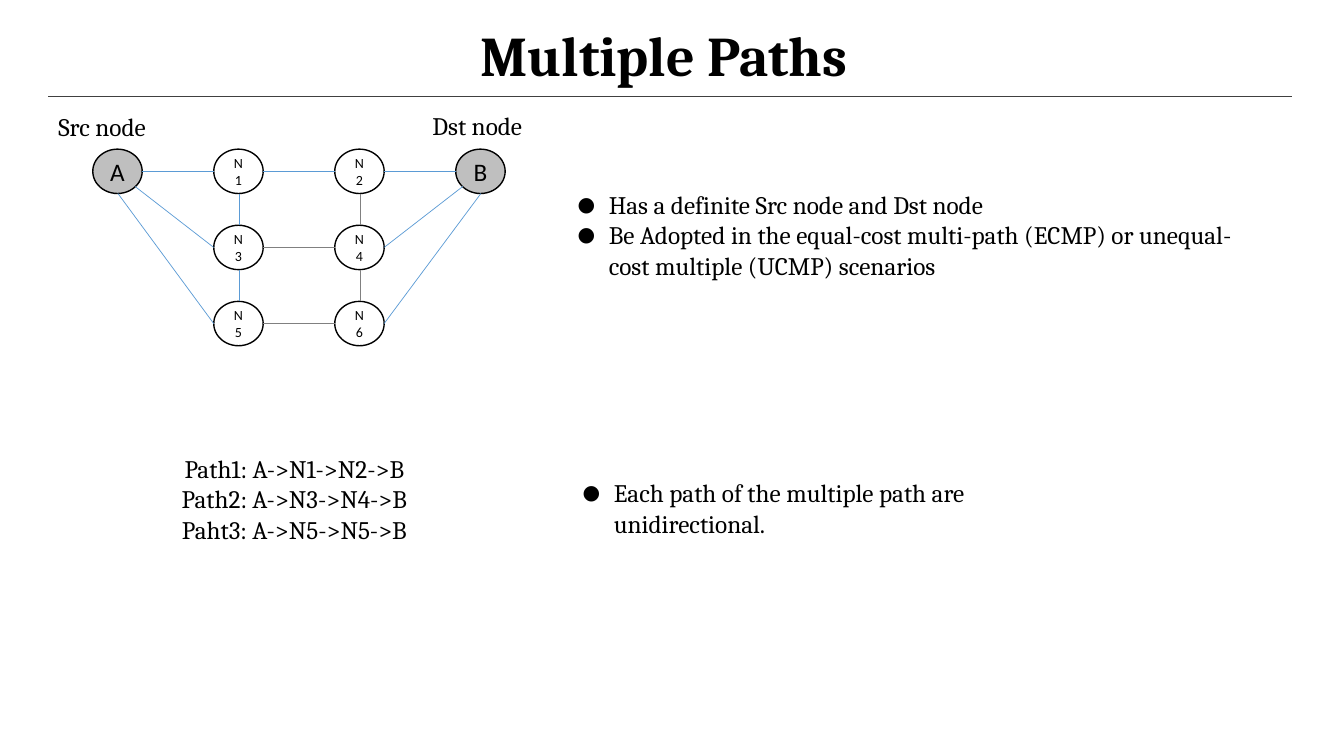
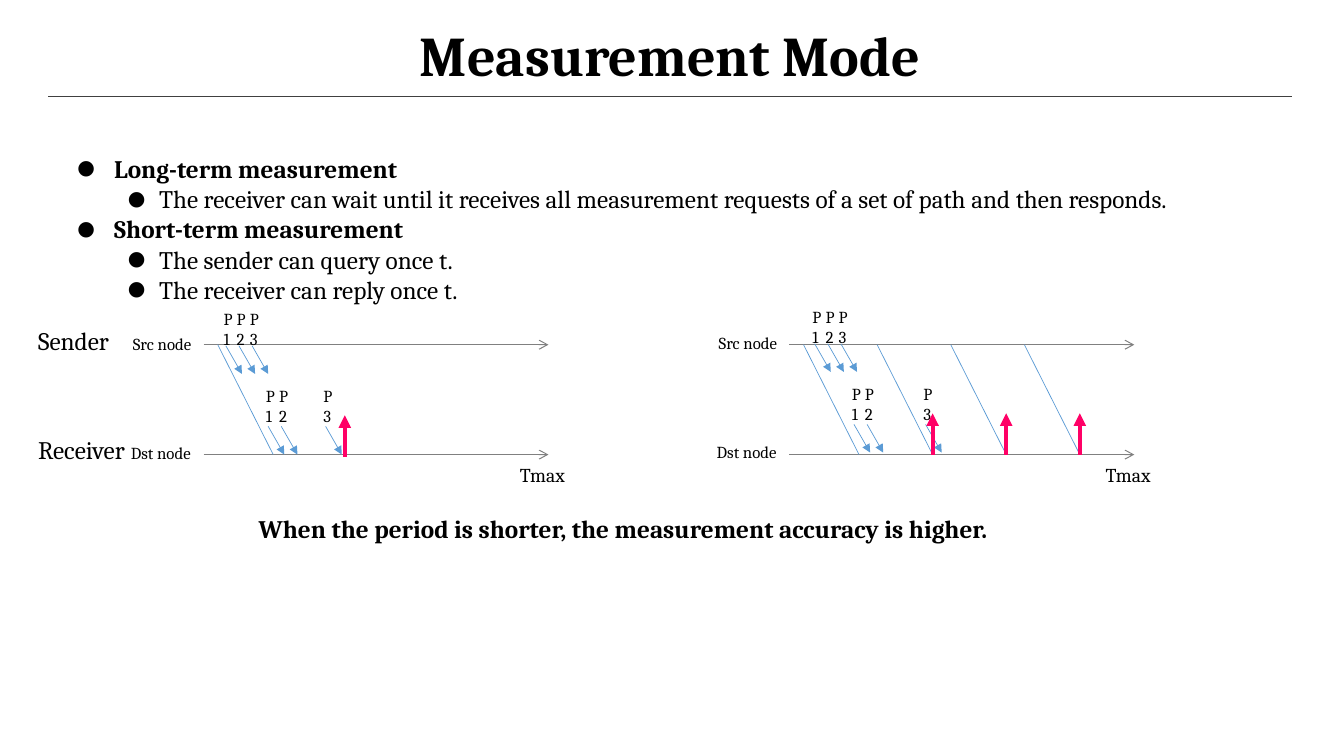
from dataclasses import dataclass
from lxml.etree import SubElement
from pptx import Presentation
from pptx.dml.color import RGBColor
from pptx.enum.shapes import MSO_CONNECTOR, MSO_SHAPE
from pptx.enum.text import MSO_ANCHOR, MSO_AUTO_SIZE, PP_ALIGN
from pptx.oxml.ns import qn
from pptx.util import Inches, Pt


@dataclass(frozen=True)
class Theme:
    ink: RGBColor = RGBColor(0, 0, 0)
    rule: RGBColor = RGBColor(0x40, 0x40, 0x40)
    gray: RGBColor = RGBColor(0x80, 0x80, 0x80)
    fill: RGBColor = RGBColor(0xBF, 0xBF, 0xBF)
    blue: RGBColor = RGBColor(0x5B, 0x9B, 0xD5)
    pink: RGBColor = RGBColor(0xFF, 0x00, 0x66)
    serif: str = "Cambria"
    sans: str = "Calibri"
    head: int = 40
    body: int = 18
    mid: int = 14
    small: int = 12
    tiny: int = 10


theme = Theme()


def write(page, box, lines, size=theme.body, align=PP_ALIGN.LEFT, wrap=True, levels=()):
    frame = page.shapes.add_textbox(*map(Inches, box)).text_frame
    frame.word_wrap = wrap
    frame.auto_size = MSO_AUTO_SIZE.SHAPE_TO_FIT_TEXT
    for i, line in enumerate(lines):
        para = frame.paragraphs[0] if i == 0 else frame.add_paragraph()
        para.alignment = align
        run = para.add_run()
        run.text = line
        run.font.size = Pt(size)
        run.font.name = theme.serif
        run.font.color.rgb = theme.ink
        if levels:
            para.level = levels[i]
            props = para._p.get_or_add_pPr()
            props.set("marL", str(Inches(0.31 + 0.5 * levels[i])))
            props.set("indent", str(Inches(-0.31)))
            SubElement(props, qn("a:buSzPct"), val="80000")
            SubElement(props, qn("a:buFont"), typeface=theme.serif)
            SubElement(props, qn("a:buChar"), char="●")
    return frame


def draw(page, start, end, color, width=0.5, tip=None):
    line = page.shapes.add_connector(MSO_CONNECTOR.STRAIGHT, *map(Inches, (*start, *end)))
    line.line.color.rgb = color
    line.line.width = Pt(width)
    props = line.element.spPr
    if tip:
        SubElement(props.find(qn("a:ln")), qn("a:tailEnd"), type=tip)
    SubElement(props, qn("a:effectLst"))


deck = Presentation()
deck.slide_width = Inches(13.33)
deck.slide_height = Inches(7.5)

pages = []
for words in ("Multiple Paths ", "Measurement Mode"):
    page = deck.slides.add_slide(deck.slide_layouts[5])
    title = page.shapes.title
    title.left, title.top, title.width, title.height = map(Inches, (0.48, 0.2, 12.33, 0.75))
    title.text_frame.vertical_anchor = MSO_ANCHOR.MIDDLE
    para = title.text_frame.paragraphs[0]
    para.alignment = PP_ALIGN.CENTER
    para.line_spacing = 0.9
    run = para.add_run()
    run.text = words
    run.font.size = Pt(theme.head)
    run.font.name = theme.serif
    run.font.bold = True
    run.font.color.rgb = theme.ink
    draw(page, (0.48, 0.95), (12.81, 0.95), theme.rule, 0.25)
    pages.append(page)
paths, modes = pages

grid = {"A": (0, 0), "N1": (1, 0), "N2": (2, 0), "B": (3, 0),
        "N3": (1, 1), "N4": (2, 1), "N5": (1, 2), "N6": (2, 2)}
spots = {name: (0.92 + 1.2 * col, 1.48 + 0.755 * row) for name, (col, row) in grid.items()}
sides = {"top": (0.25, 0), "left": (0, 0.22), "base": (0.25, 0.44),
         "right": (0.49, 0.22), "low left": (0.07, 0.37), "low right": (0.42, 0.37)}
links = (
    ("A", "right", "N1", "left", theme.blue),
    ("N1", "right", "N2", "left", theme.blue),
    ("N2", "right", "B", "left", theme.blue),
    ("N3", "right", "N4", "left", theme.gray),
    ("N5", "right", "N6", "left", theme.gray),
    ("N1", "base", "N3", "top", theme.blue),
    ("N3", "base", "N5", "top", theme.blue),
    ("N2", "base", "N4", "top", theme.gray),
    ("N4", "base", "N6", "top", theme.gray),
    ("A", "low right", "N3", "left", theme.blue),
    ("A", "base", "N5", "left", theme.blue),
    ("B", "low left", "N4", "right", theme.blue),
    ("B", "base", "N6", "right", theme.blue),
)
for name, (x, y) in spots.items():
    node = paths.shapes.add_shape(MSO_SHAPE.OVAL, *map(Inches, (x, y, 0.49, 0.44)))
    node.shadow.inherit = False
    node.line.color.rgb = theme.ink
    node.line.width = Pt(1)
    end = name in "AB"
    if end:
        node.fill.solid()
        node.fill.fore_color.rgb = theme.fill
    else:
        node.fill.background()
    node.text_frame.vertical_anchor = MSO_ANCHOR.MIDDLE
    para = node.text_frame.paragraphs[0]
    para.alignment = PP_ALIGN.CENTER
    run = para.add_run()
    run.text = name
    run.font.name = theme.sans
    run.font.size = Pt(theme.body if end else theme.tiny)
    run.font.color.rgb = theme.ink
for one, out, two, into, color in links:
    start = [a + b for a, b in zip(spots[one], sides[out])]
    stop = [a + b for a, b in zip(spots[two], sides[into])]
    draw(paths, start, stop, color)

write(paths, (0.48, 1.06, 1.1, 0.4), ["Src node"], wrap=False)
write(paths, (4.19, 1.05, 1.12, 0.4), ["Dst node"], wrap=False)
write(paths, (5.63, 1.83, 6.92, 1.01), [
    "Has a definite Src node and Dst node",
    "Be Adopted in the equal-cost multi-path (ECMP) or unequal-cost multiple (UCMP) scenarios",
], levels=(0, 0))
write(paths, (5.68, 4.69, 5.42, 0.4),
      ["Each path of the multiple path are unidirectional."], levels=(0,))
write(paths, (0.78, 4.45, 4.28, 1.01), [
    "Path1: A->N1->N2->B",
    "Path2: A->N3->N4->B",
    "Paht3: A->N5->N5->B",
], align=PP_ALIGN.CENTER)

terms = write(modes, (0.67, 1.47, 11.76, 1.62), [
    " Long-term measurement ",
    "The receiver can wait until it receives all measurement requests of a set of path and then responds.",
    " Short-term measurement ",
    "The sender can query once t. ",
    "The receiver can reply once t. ",
], levels=(0, 1, 0, 1, 1))
for para in terms.paragraphs:
    para.runs[0].font.bold = para.level == 0
claim = write(modes, (0.84, 5.04, 10.68, 0.4),
              ["When the period is shorter, the measurement accuracy is higher."],
              align=PP_ALIGN.CENTER)
claim.paragraphs[0].runs[0].font.bold = True
write(modes, (0.28, 3.18, 0.91, 0.4), ["Sender"], wrap=False)
write(modes, (0.28, 4.26, 1.13, 0.4), ["Receiver "], wrap=False)

top, base, period = 3.42, 4.51, 0.73
charts = (
    (2.02, 0, (0.22, 0.35, 0.48), (0.64, 0.77, 1.21), 1, (1.4,)),
    (7.83, 0.02, (0.25, 0.38, 0.51), (0.64, 0.77, 1.35), 4,
     [1.42 + period * i for i in range(3)]),
)
for x, lift, sent, got, waves, replies in charts:
    for y in (top, base):
        draw(modes, (x, y), (x + 3.42, y), theme.gray, 0.75, "arrow")
    write(modes, (x - 0.8, 3.26 - lift / 2, 0.8, 0.3), ["Src node"], theme.small, wrap=False)
    write(modes, (x - 0.82, 4.34 - lift / 2, 0.82, 0.3), ["Dst node"], theme.small, wrap=False)
    write(modes, (x + 2.93, 4.54, 0.75, 0.34), ["Tmax"], theme.mid, PP_ALIGN.RIGHT)
    for i in range(waves):
        left = x + 0.14 + period * i
        draw(modes, (left, top), (left + 0.55, base), theme.blue)
    for marks, y, high in ((sent, 3.43, 3.01), (got, 4.23, 3.78)):
        for i, mark in enumerate(marks):
            left = x + mark
            draw(modes, (left, y - lift), (left + 0.16, y + 0.28 - lift), theme.blue, tip="triangle")
            write(modes, (left - 0.12, high - lift, 0.3, 0.5), ["P", str(i + 1)],
                  theme.small, wrap=False)
    for mark in replies:
        draw(modes, (x + mark, 4.53 - lift), (x + mark, 4.12 - lift), theme.pink, 3, "triangle")

deck.save("out.pptx")
